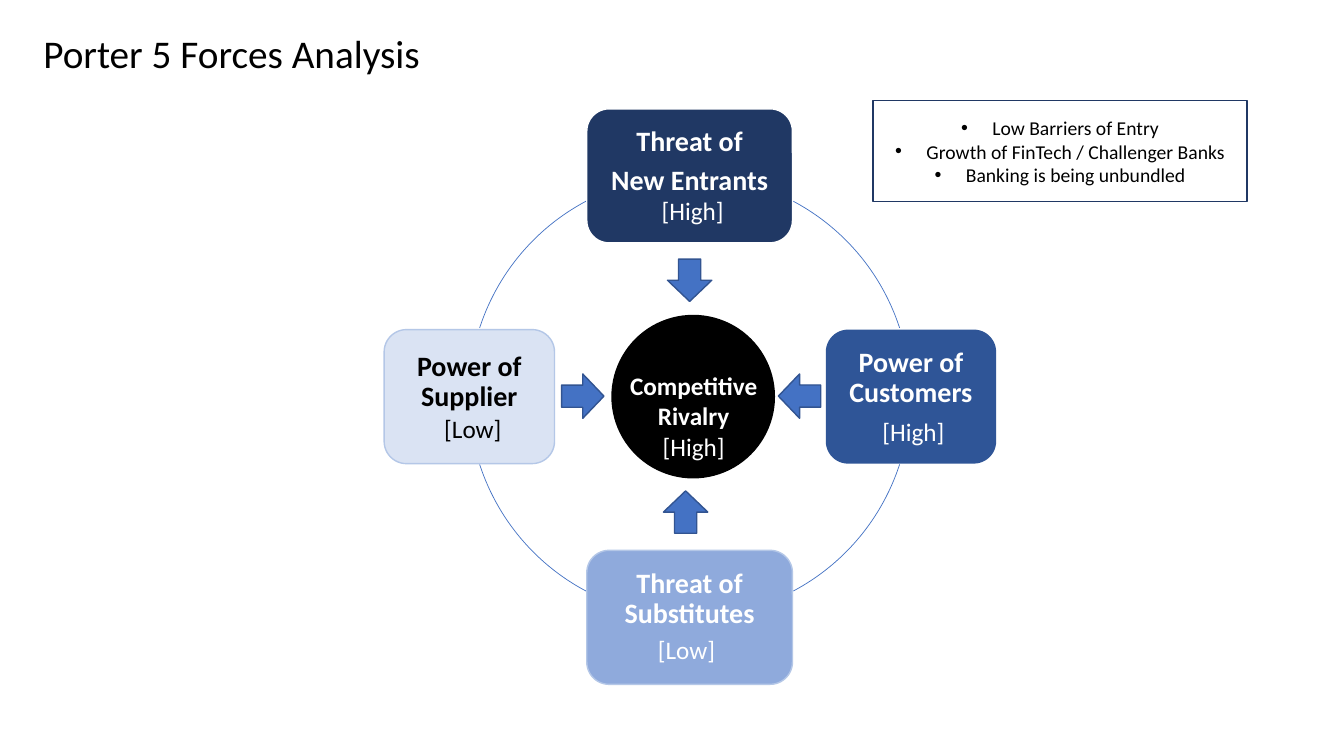
from pptx import Presentation
from pptx.dml.color import RGBColor
from pptx.enum.shapes import MSO_SHAPE as SHAPE
from pptx.enum.text import MSO_ANCHOR as ANCHOR, MSO_AUTO_SIZE as AUTO, PP_ALIGN as ALIGN
from pptx.util import Emu, Pt

PX = 9144  # 100 px to the inch
COLORS = {
    "white": "FFFFFF", "black": "000000", "navy": "203864", "blue": "2F5597",
    "sky": "8FAADC", "pale": "DAE3F3", "edge": "B4C7E7",
    "accent": "4472C4", "accent_edge": "325491",
}


def px(*lengths):
    return [Emu(n * PX) for n in lengths]


class Deck:
    font = "Calibri"

    def __init__(self, width, height):
        self.prs = Presentation()
        self.prs.slide_width, self.prs.slide_height = px(width, height)
        self.s = self.prs.slides.add_slide(self.prs.slide_layouts[1])

    def color(self, name):
        return RGBColor.from_string(COLORS[name])

    def paint(self, sp, fill=None, line=None, weight=1):
        if fill:
            sp.fill.solid()
            sp.fill.fore_color.rgb = self.color(fill)
        else:
            sp.fill.background()
        if line:
            sp.line.color.rgb = self.color(line)
            sp.line.width = Pt(weight)
        else:
            sp.line.fill.background()

    def set_text(self, tf, lines, size, color, bold=False, align=ALIGN.CENTER,
                 spacing=1.0, after=0):
        tf.auto_size = AUTO.NONE
        tf.text = "\n".join(lines)
        for p in tf.paragraphs:
            p.alignment, p.line_spacing = align, spacing
            p.space_before, p.space_after = Pt(0), Pt(after)
            p.font.name, p.font.size, p.font.bold = self.font, Pt(size), bold
            p.font.color.rgb = self.color(color)

    def place(self, sp, box):
        sp.left, sp.top, sp.width, sp.height = px(*box)

    def title(self, box, text):
        sp = self.s.shapes.title
        self.place(sp, box)
        sp.text_frame.vertical_anchor = ANCHOR.TOP
        self.set_text(sp.text_frame, [text], 28, "black", align=ALIGN.LEFT)

    def bullets(self, box, lines):
        sp = self.s.placeholders[1]
        self.place(sp, box)
        self.paint(sp, "white", "navy")
        tf = sp.text_frame
        tf.vertical_anchor = ANCHOR.MIDDLE
        self.set_text(tf, lines, 14, "black")
        indent, = px(31)
        for p in tf.paragraphs:
            pPr = p._p.get_or_add_pPr()
            pPr.set("marL", str(indent))
            pPr.set("indent", str(-indent))

    def shape(self, kind, box, fill=None, line=None, weight=1, rotation=0):
        sp = self.s.shapes.add_shape(kind, *px(*box))
        sp.shadow.inherit = False
        sp.rotation = rotation
        self.paint(sp, fill, line, weight)
        return sp

    def arc(self, box, start, end):
        sp = self.shape(SHAPE.ARC, box, line="accent", weight=0.5)
        for i, angle in enumerate((start, end)):
            sp.adjustments[i] = angle * 0.6  # 60000 units a degree, scaled by 100000

    def card(self, box, lines, inset, fill, line, color):
        sp = self.shape(SHAPE.ROUNDED_RECTANGLE, box, fill, line)
        tf = sp.text_frame
        tf.word_wrap = True
        tf.vertical_anchor = ANCHOR.TOP
        tf.margin_left, tf.margin_right, tf.margin_top = px(14, 14, inset)
        self.set_text(tf, lines, 20, color, bold=True, spacing=0.9, after=6.5)

    def label(self, box, lines, color, bold=False):
        tf = self.s.shapes.add_textbox(*px(*box)).text_frame
        tf.word_wrap = False
        self.set_text(tf, lines, 18, color, bold)


def main():
    deck = Deck(1333, 750)

    # Title and notes on new entrants
    deck.title((33, 24, 1300, 57), "Porter 5 Forces Analysis")
    deck.bullets((866, 100, 371, 100), [
        "Low Barriers of Entry",
        "Growth of FinTech / Challenger Banks",
        "Banking is being unbundled",
    ])

    # Ring: one arc between each pair of neighbouring forces
    for start, end in ((298, 342), (18, 62), (118, 162), (198, 242)):
        deck.arc((465, 174, 438, 438), start, end)

    # Four outer forces: box, name, top inset, colours, level and its place
    forces = [
        ((582, 108, 204, 133), ["Threat of", "New Entrants"], 12,
         "navy", "white", "white", "[High]", (647, 189)),
        ((819, 327, 169, 133), ["Power of Customers"], 12,
         "blue", None, "white", "[High]", (866, 408)),
        ((582, 546, 204, 133), ["Threat of Substitutes"], 12,
         "sky", "edge", "white", "[Low]", (641, 624)),
        ((381, 327, 169, 133), ["Power of Supplier"], 16,
         "pale", "edge", "black", "[Low]", (429, 405)),
    ]
    for box, name, inset, fill, line, color, level, (x, y) in forces:
        deck.card(box, name, inset, fill, line, color)
        deck.label((x, y, 80, 40), [level], color)

    # Central force
    deck.shape(SHAPE.OVAL, (607, 313, 161, 161), "black", "black")
    deck.label((614, 362, 148, 71), ["Competitive", "Rivalry"], "white", bold=True)
    deck.label((647, 423, 82, 40), ["[High]"], "white")

    # Arrows pointing to the centre
    for x, y, rotation in ((662, 257, 0), (658, 487, 180), (556, 372, 270), (771, 372, 90)):
        deck.shape(SHAPE.DOWN_ARROW, (x, y, 44, 42), "accent", "accent_edge",
                   rotation=rotation)

    deck.prs.save("out.pptx")


if __name__ == "__main__":
    main()
